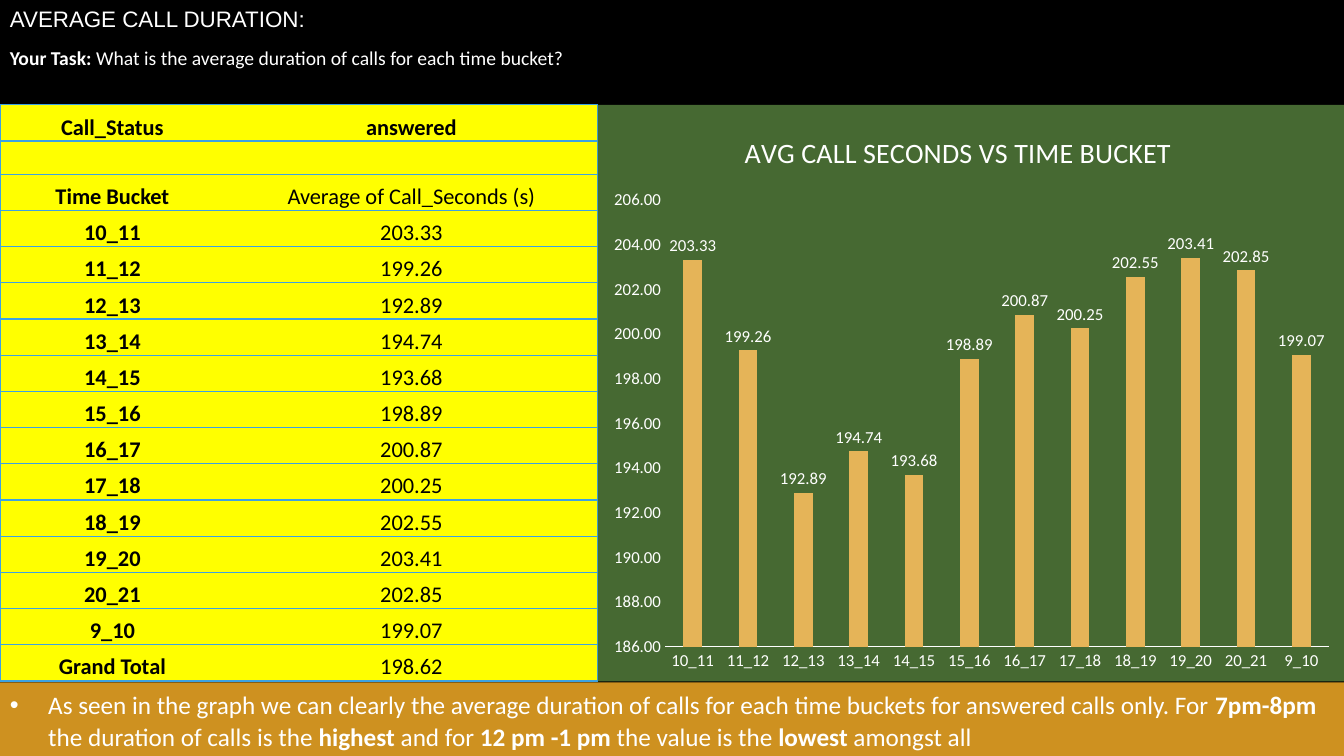
from lxml import etree
from pptx import Presentation
from pptx.chart.data import CategoryChartData
from pptx.dml.color import RGBColor
from pptx.enum.chart import XL_CHART_TYPE, XL_LABEL_POSITION, XL_TICK_MARK
from pptx.enum.shapes import MSO_SHAPE
from pptx.enum.text import MSO_ANCHOR, PP_ALIGN
from pptx.oxml import parse_xml
from pptx.oxml.ns import nsdecls, qn
from pptx.util import Inches, Pt

COLUMNS = XL_CHART_TYPE.COLUMN_CLUSTERED
OUTSIDE_END = XL_LABEL_POSITION.OUTSIDE_END
NO_TICK = XL_TICK_MARK.NONE
RECTANGLE = MSO_SHAPE.RECTANGLE
TOP, BOTTOM = MSO_ANCHOR.TOP, MSO_ANCHOR.BOTTOM
LEFT, CENTER = PP_ALIGN.LEFT, PP_ALIGN.CENTER

COLORS = {
    "background": "000000", "light": "FFFFFF", "dark": "000000",
    "table": "FFFF00", "border": "3CA2E2",
    "chart": "466932", "bars": "E5B458", "footer": "CE9120",
}
NO_TABLE_STYLE = "{2D5ABB26-0587-4C30-8999-92F81FD0307C}"

# Content: runs are (text, bold)
HEADING = "AVERAGE CALL DURATION:"
TASK = [
    ("Your Task: ", True),
    ("What is the average duration of calls for each time bucket?", False),
]
CHART_TITLE = "AVG CALL SECONDS VS TIME BUCKET"
AVERAGES = [
    ("10_11", 203.33), ("11_12", 199.26), ("12_13", 192.89), ("13_14", 194.74),
    ("14_15", 193.68), ("15_16", 198.89), ("16_17", 200.87), ("17_18", 200.25),
    ("18_19", 202.55), ("19_20", 203.41), ("20_21", 202.85), ("9_10", 199.07),
]
TABLE_ROWS = [
    ("Call_Status", "answered"),
    ("", ""),
    ("Time Bucket", "Average of Call_Seconds (s)"),
    *((bucket, f"{seconds:.2f}") for bucket, seconds in AVERAGES),
    ("Grand Total", "198.62"),
]
FINDING = [
    ("As seen in the graph we can clearly the average duration of calls "
     "for each time buckets for answered calls only. For ", False),
    ("7pm-8pm", True),
    (" the duration of calls is the ", False),
    ("highest ", True),
    ("and for ", False),
    ("12 pm -1 pm", True),
    (" the value is the ", False),
    ("lowest ", True),
    ("amongst all", False),
]

# Page grid, in inches
WIDTH, HEIGHT = 13.33, 7.5
HEADER_HEIGHT, BODY_HEIGHT = 1.04, 5.72
FOOTER_TOP = 6.77
TABLE_COLUMNS = (2.23, 3.7)
TABLE_WIDTH = sum(TABLE_COLUMNS)
GAP_ROW_HEIGHT = 0.33
ROW_HEIGHT = (BODY_HEIGHT - GAP_ROW_HEIGHT) / (len(TABLE_ROWS) - 1)


def color(name):
    return RGBColor.from_string(COLORS[name])


def paint(target, name):
    target.fill.solid()
    target.fill.fore_color.rgb = color(name)


def style_font(font, size, name="light", bold=False, face="Calibri"):
    font.name, font.size, font.bold = face, Pt(size), bold
    font.color.rgb = color(name)


def add_runs(paragraph, runs, size):
    for text, bold in runs:
        run = paragraph.add_run()
        run.text = text
        style_font(run.font, size, bold=bold)


def add_header(slide):
    box = slide.shapes.add_textbox(0, 0, Inches(WIDTH), Inches(HEADER_HEIGHT))
    frame = box.text_frame
    frame.word_wrap = True
    frame.vertical_anchor = TOP
    heading = frame.paragraphs[0]
    heading.text = HEADING
    style_font(heading.runs[0].font, 16, face="Arial")
    task = frame.add_paragraph()
    task.space_before = Pt(9.8)
    add_runs(task, TASK, 14)


def set_borders(cell, sides):
    """Draw the given sides (of L, R, T, B) and clear the others."""
    properties = cell._tc.get_or_add_tcPr()
    for side in "LRTB":
        fill = (f'<a:solidFill><a:srgbClr val="{COLORS["border"]}"/></a:solidFill>'
                if side in sides else "<a:noFill/>")
        properties.append(parse_xml(
            f'<a:ln{side} {nsdecls("a")} w="{Pt(1)}">{fill}</a:ln{side}>'))


def add_table(slide):
    frame = slide.shapes.add_table(
        len(TABLE_ROWS), len(TABLE_COLUMNS), 0, Inches(HEADER_HEIGHT),
        Inches(TABLE_WIDTH), Inches(BODY_HEIGHT))
    table = frame.table
    table.first_row = table.horz_banding = False
    table._tbl.tblPr.find(qn("a:tableStyleId")).text = NO_TABLE_STYLE
    for column, width in zip(table.columns, TABLE_COLUMNS):
        column.width = Inches(width)
    for row_index, texts in enumerate(TABLE_ROWS):
        row = table.rows[row_index]
        row.height = Inches(ROW_HEIGHT if texts[0] else GAP_ROW_HEIGHT)
        for column_index, text in enumerate(texts):
            cell = row.cells[column_index]
            set_borders(cell, "RTB" if column_index else "LTB")
            paint(cell, "table")
            cell.vertical_anchor = BOTTOM
            cell.margin_left = cell.margin_right = Inches(0.07)
            cell.margin_top = cell.margin_bottom = 0
            if not text:
                continue
            paragraph = cell.text_frame.paragraphs[0]
            paragraph.text = text
            paragraph.alignment = CENTER
            paragraph.line_spacing = 1.07
            paragraph.space_after = Pt(8)
            bold = column_index == 0 or row_index == 0
            style_font(paragraph.runs[0].font, 16, "dark", bold)


def chart_layout(**shares):
    """Manual layout, in shares of the chart's size."""
    layout = etree.Element(qn("c:layout"))
    manual = etree.SubElement(layout, qn("c:manualLayout"))
    if "w" in shares:
        etree.SubElement(manual, qn("c:layoutTarget"), val="inner")
    for axis in "xy":
        etree.SubElement(manual, qn(f"c:{axis}Mode"), val="edge")
    for key, share in shares.items():
        etree.SubElement(manual, qn(f"c:{key}"), val=str(share))
    return layout


def add_chart(slide):
    data = CategoryChartData(number_format="0.00")
    data.categories = [bucket for bucket, _ in AVERAGES]
    data.add_series("Series 1", [seconds for _, seconds in AVERAGES])
    chart = slide.shapes.add_chart(
        COLUMNS, Inches(TABLE_WIDTH), Inches(HEADER_HEIGHT),
        Inches(WIDTH - TABLE_WIDTH), Inches(BODY_HEIGHT), data).chart
    style_font(chart.font, 10)
    chart.has_legend = False
    chart._chartSpace.find(qn("c:txPr")).addprevious(parse_xml(
        f'<c:spPr {nsdecls("c", "a")}><a:solidFill>'
        f'<a:srgbClr val="{COLORS["chart"]}"/></a:solidFill>'
        '<a:ln><a:noFill/></a:ln></c:spPr>'))

    chart.has_title = True
    title = chart.chart_title
    title.text_frame.text = CHART_TITLE
    style_font(title.text_frame.paragraphs[0].runs[0].font, 20)
    title.include_in_layout = False
    for old in title._element.findall(qn("c:layout")):
        title._element.remove(old)
    title._element.find(qn("c:tx")).addnext(chart_layout(x=0.19, y=0.04))

    plot_area = chart._chartSpace.chart.plotArea
    for old in plot_area.findall(qn("c:layout")):
        plot_area.remove(old)
    plot_area.insert(0, chart_layout(x=0.09, y=0.165, w=0.89, h=0.775))

    for axis in (chart.category_axis, chart.value_axis):
        axis.major_tick_mark = axis.minor_tick_mark = NO_TICK
        axis.has_major_gridlines = False
        style_font(axis.tick_labels.font, 12)
    category_line = chart.category_axis.format.line
    category_line.color.rgb = color("light")
    category_line.width = Pt(0.75)
    values = chart.value_axis
    values.minimum_scale, values.maximum_scale, values.major_unit = 186, 206, 2
    values.format.line.fill.background()
    values.tick_labels.number_format = "0.00"
    values.tick_labels.number_format_is_linked = False

    plot = chart.plots[0]
    plot.gap_width = 199
    plot.vary_by_categories = False
    paint(plot.series[0].format, "bars")
    labels = plot.series[0].data_labels
    labels.show_value = True
    labels.position = OUTSIDE_END
    labels.number_format = "0.00"
    labels.number_format_is_linked = False
    style_font(labels.font, 12)


def add_footer(slide):
    shape = slide.shapes.add_shape(RECTANGLE, 0, Inches(FOOTER_TOP), Inches(WIDTH),
                                   Inches(HEIGHT - FOOTER_TOP))
    shape.shadow.inherit = False
    paint(shape, "footer")
    shape.line.fill.background()
    shape.text_frame.word_wrap = True
    shape.text_frame.vertical_anchor = TOP
    paragraph = shape.text_frame.paragraphs[0]
    paragraph.alignment = LEFT
    paragraph.line_spacing = 1.07
    paragraph.space_after = Pt(8)
    properties = paragraph._p.get_or_add_pPr()
    properties.set("marL", str(Inches(0.38)))
    properties.set("indent", str(-Inches(0.38)))
    etree.SubElement(properties, qn("a:buFont"), typeface="Arial")
    etree.SubElement(properties, qn("a:buChar"), char="•")
    add_runs(paragraph, FINDING, 18)


presentation = Presentation()
presentation.slide_width, presentation.slide_height = Inches(WIDTH), Inches(HEIGHT)
slide = presentation.slides.add_slide(presentation.slide_layouts[6])
paint(slide.background, "background")
for add_part in (add_table, add_header, add_chart, add_footer):
    add_part(slide)
presentation.save("out.pptx")
